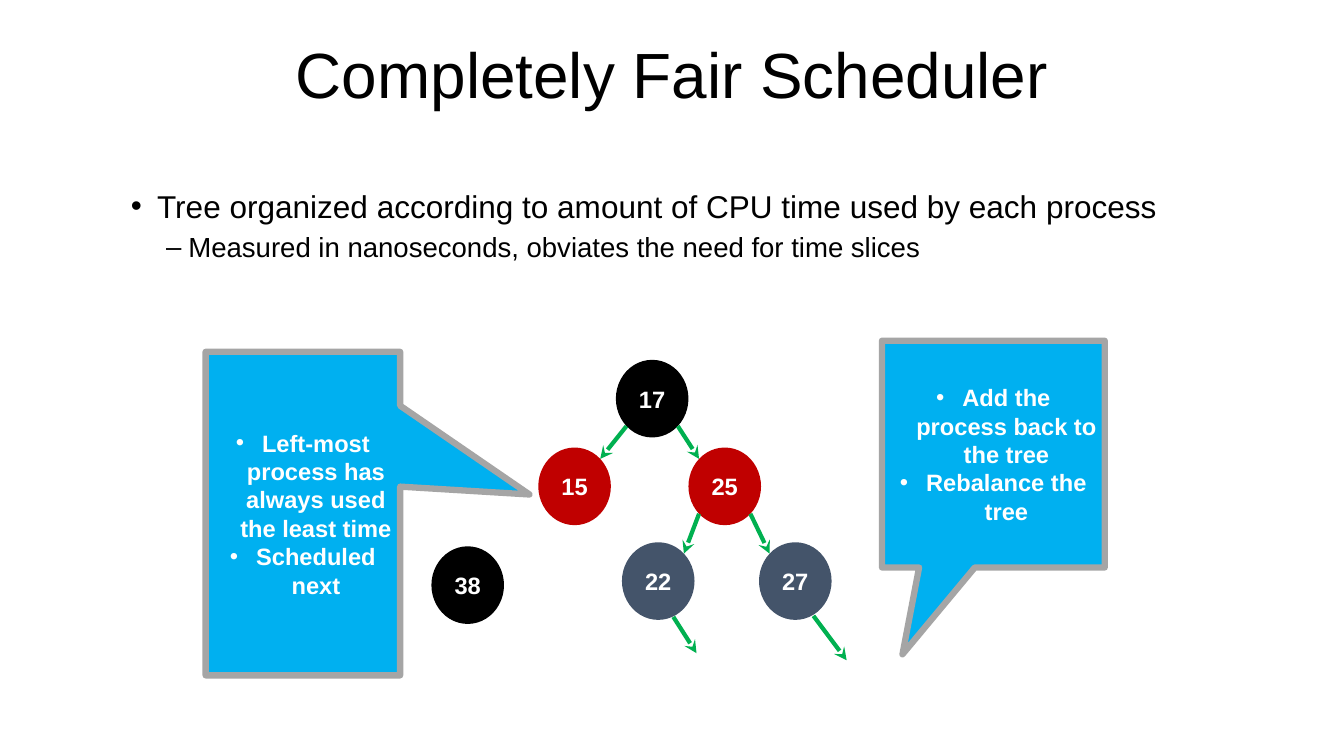
from dataclasses import dataclass

import pptx
import pptx.dml.color
import pptx.enum.shapes
import pptx.enum.text
import pptx.oxml
import pptx.oxml.ns
import pptx.util
from pptx.dml.color import RGBColor
from pptx.util import Pt

BLACK = RGBColor(0x00, 0x00, 0x00)
WHITE = RGBColor(0xFF, 0xFF, 0xFF)
RED = RGBColor(0xC0, 0x00, 0x00)
SLATE = RGBColor(0x44, 0x54, 0x6A)
GREEN = RGBColor(0x00, 0xB0, 0x50)
SKY = RGBColor(0x00, 0xB0, 0xF0)
GREY = RGBColor(0xA5, 0xA5, 0xA5)

SHAPES = pptx.enum.shapes.MSO_SHAPE
ALIGN = pptx.enum.text.PP_ALIGN
ANCHOR = pptx.enum.text.MSO_ANCHOR
NODE_WIDTH, NODE_HEIGHT = 51.84, 55.44
LABEL_SIZE = 16.9
# Share of an ellipse's box that lies before its diagonal point
DIAGONAL = 0.146


@dataclass(frozen=True)
class Node:
    left: float
    top: float
    color: RGBColor

    def corner(self, x_share: float, y_share: float) -> tuple[float, float]:
        return self.left + NODE_WIDTH * x_share, self.top + NODE_HEIGHT * y_share


@dataclass(frozen=True)
class Callout:
    left: float
    top: float
    width: float
    height: float
    pointer: tuple[float, float]
    lines: tuple[str, ...]


NODES = {
    "17": Node(439.92, 257.04, BLACK),
    "15": Node(384.48, 319.68, RED),
    "25": Node(491.76, 319.68, RED),
    "22": Node(444.24, 387.36, SLATE),
    "27": Node(542.16, 387.36, SLATE),
    "38": Node(308.16, 390.24, BLACK),
}
# Parent, left child, right child
FAMILIES = [("17", "15", "25"), ("25", "22", "27")]
LOOSE_ARROWS = [
    ((581.04, 439.92), (604.8, 471.6)),
    ((480.96, 440.64), (497.52, 466.56)),
]
CALLOUTS = [
    Callout(146.88, 251.28, 138.96, 231.12, (1.165, -0.059),
            ("Left-most process has always used the least time", "Scheduled next")),
    Callout(630, 243.36, 159.12, 162, (-0.408, 0.883),
            ("Add the process back to the tree", "Rebalance the tree")),
]


def set_frame(frame, anchor) -> None:
    frame.word_wrap = True
    frame.auto_size = pptx.enum.text.MSO_AUTO_SIZE.NONE
    frame.vertical_anchor = anchor
    frame.margin_left = frame.margin_right = Pt(5)
    frame.margin_top = frame.margin_bottom = Pt(2.6)


def set_font(para, size: float, color: RGBColor, bold: bool = False) -> None:
    para.font.name = "Arial"
    para.font.size = Pt(size)
    para.font.bold = bold
    para.font.color.rgb = color


def add_bullet(para, mark: str, color: RGBColor, margin: float, hang: float) -> None:
    properties = para._p.get_or_add_pPr()
    properties.set("marL", str(Pt(margin)))
    properties.set("indent", str(Pt(-hang)))
    bullet_color = pptx.oxml.ns.qn("a:buClr")
    fill = properties.makeelement(bullet_color, {})
    fill.append(fill.makeelement(pptx.oxml.ns.qn("a:srgbClr"), {"val": str(color)}))
    properties.append(fill)
    for tag, settings in (("a:buFont", {"typeface": "Arial"}), ("a:buChar", {"char": mark})):
        properties.append(properties.makeelement(pptx.oxml.ns.qn(tag), settings))


def add_title(page) -> None:
    title = page.shapes.title
    title.left, title.top, title.width, title.height = (
        Pt(181.44), Pt(5.04), Pt(596.88), Pt(100.8))
    set_frame(title.text_frame, ANCHOR.MIDDLE)
    title.text_frame.text = "Completely Fair Scheduler"
    para = title.text_frame.paragraphs[0]
    para.alignment = ALIGN.CENTER
    para.line_spacing = 0.9
    set_font(para, 45.6, BLACK)


def add_body(page) -> None:
    box = page.shapes.add_textbox(Pt(88.56), Pt(131.04), Pt(764.64), Pt(104.4))
    set_frame(box.text_frame, ANCHOR.TOP)
    box.text_frame.text = (
        "Tree organized according to amount of CPU time used by each process\n"
        "Measured in nanoseconds, obviates the need for time slices")
    main, detail = box.text_frame.paragraphs
    add_bullet(main, "•", BLACK, 18.72, 18.72)
    set_font(main, 22.5, BLACK)
    detail.level = 1
    detail.space_before = Pt(3.9)
    add_bullet(detail, "–", BLACK, 41.04, 15.84)
    set_font(detail, 19.7, BLACK)


def add_filled(page, kind, left: float, top: float, width: float, height: float,
               color: RGBColor):
    shape = page.shapes.add_shape(kind, Pt(left), Pt(top), Pt(width), Pt(height))
    shape.shadow.inherit = False
    shape.fill.solid()
    shape.fill.fore_color.rgb = color
    set_frame(shape.text_frame, ANCHOR.MIDDLE)
    return shape


def add_node(page, label: str, node: Node) -> None:
    circle = add_filled(page, SHAPES.OVAL, node.left, node.top,
                        NODE_WIDTH, NODE_HEIGHT, node.color)
    circle.line.fill.background()
    circle.text_frame.text = label
    para = circle.text_frame.paragraphs[0]
    para.alignment = ALIGN.CENTER
    set_font(para, LABEL_SIZE, WHITE, bold=True)


def add_arrow(page, start: tuple[float, float], end: tuple[float, float]) -> None:
    arrow = page.shapes.add_connector(
        pptx.enum.shapes.MSO_CONNECTOR.STRAIGHT, *map(Pt, start + end))
    arrow.line.color.rgb = GREEN
    arrow.line.width = Pt(3)
    line = arrow.line._get_or_add_ln()
    line.append(line.makeelement(pptx.oxml.ns.qn("a:tailEnd"), {"type": "stealth"}))
    properties = arrow._element.spPr
    properties.append(properties.makeelement(pptx.oxml.ns.qn("a:effectLst"), {}))


def add_callout(page, callout: Callout) -> None:
    shape = add_filled(page, SHAPES.RECTANGULAR_CALLOUT, callout.left, callout.top,
                       callout.width, callout.height, SKY)
    shape.adjustments[0], shape.adjustments[1] = callout.pointer
    shape.line.color.rgb = GREY
    shape.line.width = Pt(4.5)
    shape.text_frame.text = "\n".join(callout.lines)
    for para in shape.text_frame.paragraphs:
        para.alignment = ALIGN.CENTER
        add_bullet(para, "•", WHITE, 18.72, 18.72)
        set_font(para, LABEL_SIZE, WHITE, bold=True)


def main() -> None:
    deck = pptx.Presentation()
    deck.slide_width, deck.slide_height = Pt(960), Pt(540)
    page = deck.slides.add_slide(deck.slide_layouts[5])
    add_title(page)
    add_body(page)

    # Tree
    for label, node in NODES.items():
        add_node(page, label, node)
    near, far = DIAGONAL, 1 - DIAGONAL
    for parent, left, right in FAMILIES:
        add_arrow(page, NODES[parent].corner(near, far), NODES[left].corner(far, near))
        add_arrow(page, NODES[parent].corner(far, far), NODES[right].corner(near, near))
    for start, end in LOOSE_ARROWS:
        add_arrow(page, start, end)

    # Remarks beside the tree
    for callout in CALLOUTS:
        add_callout(page, callout)
    deck.save("out.pptx")


if __name__ == "__main__":
    main()
